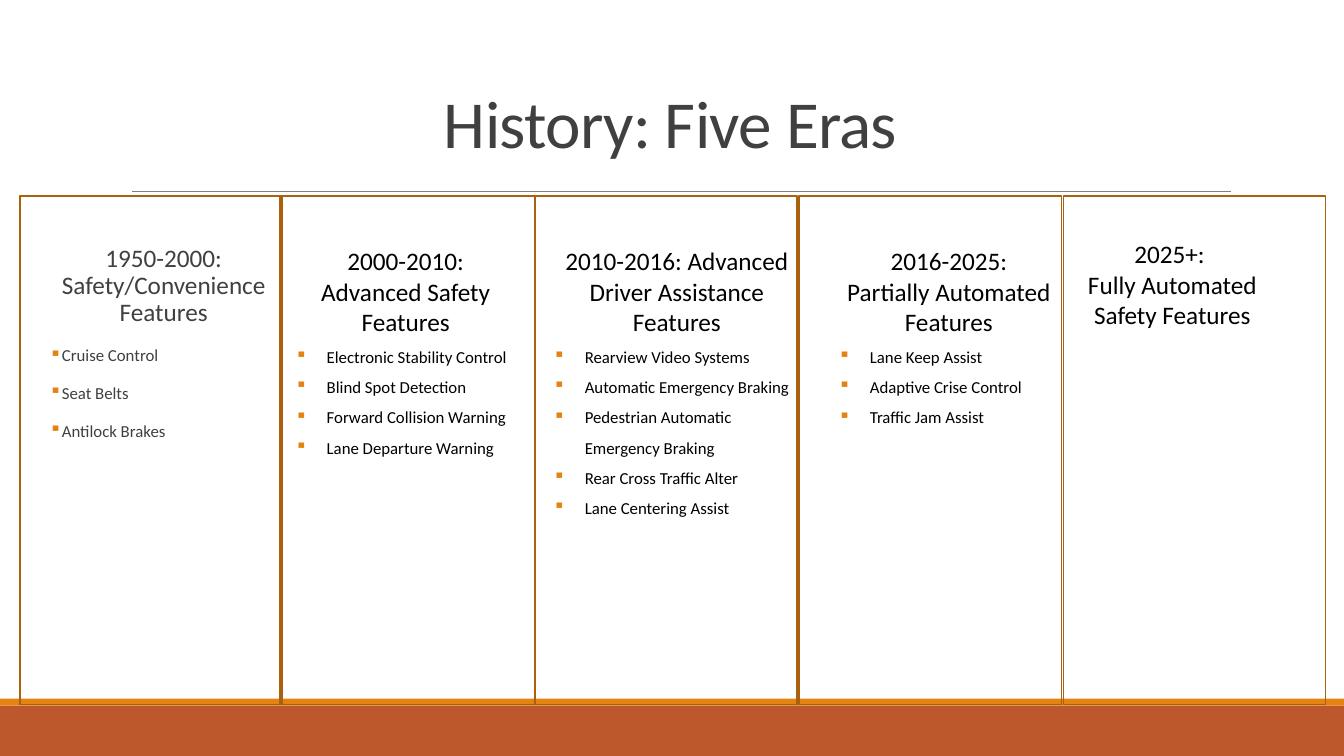
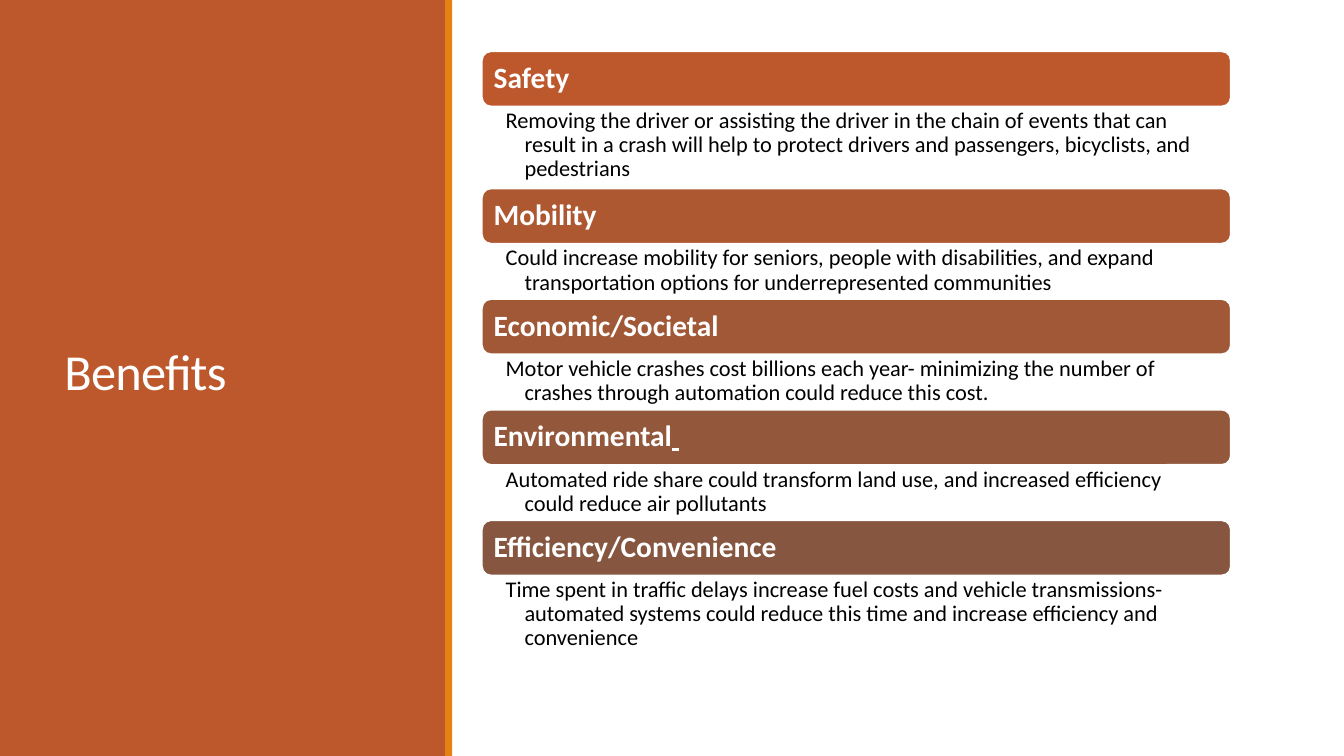
from lxml.etree import SubElement
from pptx import Presentation
from pptx.dml.color import RGBColor
from pptx.enum.shapes import MSO_CONNECTOR, MSO_SHAPE
from pptx.enum.text import MSO_ANCHOR, PP_ALIGN
from pptx.oxml.ns import qn
from pptx.util import Pt

WIDTH, HEIGHT = 960, 540
COLORS = {
    "rust": "BD582C",
    "orange": "E48312",
    "brown": "A9610D",
    "rule": "808080",
    "gray": "404040",
    "black": "000000",
    "white": "FFFFFF",
}
DEFAULT_INSETS = (7.2, 3.6, 7.2, 3.6)

# Paragraph styles of the era columns
FIRST_ERA = {"color": "gray", "spacing": 0.9, "before": 12, "after": 2, "indent": 7.2}
LATER_ERA = {"color": "black", "spacing": 1.5, "indent": 22.5}
LATER_HEADING = {"color": "black"}

# Frame left and width, text left, top and width, heading paragraphs, features
ERAS = [
    ((14.4, 187.2), (35.3, 172, 156.2),
     ["1950-2000: Safety/Convenience Features"],
     ["Cruise Control", "Seat Belts", "Antilock Brakes"]),
    ((200.2, 182.2), (203.8, 172, 172),
     ["2000-2010: Advanced Safety Features"],
     ["Electronic Stability Control", "Blind Spot Detection",
      "Forward Collision Warning", "Lane Departure Warning"]),
    ((382.3, 187.2), (388.1, 172, 190.8),
     ["2010-2016: Advanced Driver Assistance Features"],
     ["Rearview Video Systems", "Automatic Emergency Braking",
      "Pedestrian Automatic Emergency Braking",
      "Rear Cross Traffic Alter", "Lane Centering Assist"]),
    ((571, 187.2), (591.8, 172, 172),
     ["2016-2025:", "Partially Automated Features"],
     ["Lane Keep Assist", "Adaptive Crise Control", "Traffic Jam Assist"]),
    ((759.6, 187.2), (765.4, 167, 144),
     ["2025+: ", "Fully Automated Safety Features"], []),
]

# Heading, bar colour, height of the explanation, explanation
BENEFITS = [
    ("Safety", "BD582C", 58.5,
     "Removing the driver or assisting the driver in the chain of events that can "
     "result in a crash will help to protect drivers and passengers, bicyclists, "
     "and pedestrians"),
    ("Mobility", "AE5832", 39.5,
     "Could increase mobility for seniors, people with disabilities, and expand "
     "transportation options for underrepresented communities"),
    ("Economic/Societal", "A05837", 39.5,
     "Motor vehicle crashes cost billions each year- minimizing the number of "
     "crashes through automation could reduce this cost."),
    ("Environmental", "93573C", 39.5,
     "Automated ride share could transform land use, and increased efficiency "
     "could reduce air pollutants"),
    ("Efficiency/Convenience", "865640", 58.5,
     "Time spent in traffic delays increase fuel costs and vehicle transmissions- "
     "automated systems could reduce this time and increase efficiency and "
     "convenience"),
]


def rgb(color):
    """Look up a named colour; a plain hex string is taken as it is."""
    return RGBColor.from_string(COLORS.get(color, color))


class Deck:
    """Holds the style and the current slide."""

    font = "Calibri"

    def __init__(self):
        self.prs = Presentation()
        self.prs.slide_width, self.prs.slide_height = Pt(WIDTH), Pt(HEIGHT)
        self.slide = None

    def new_slide(self):
        self.slide = self.prs.slides.add_slide(self.prs.slide_layouts[6])

    def shape(self, x, y, w, h, fill=None, line=None, kind=MSO_SHAPE.RECTANGLE):
        sp = self.slide.shapes.add_shape(kind, Pt(x), Pt(y), Pt(w), Pt(h))
        sp.shadow.inherit = False
        if fill:
            sp.fill.solid()
            sp.fill.fore_color.rgb = rgb(fill)
        else:
            sp.fill.background()
        if line:
            sp.line.color.rgb = rgb(line)
            sp.line.width = Pt(1.25)
        else:
            sp.line.fill.background()
        return sp

    def rule(self, x1, x2, y):
        line = self.slide.shapes.add_connector(
            MSO_CONNECTOR.STRAIGHT, Pt(x1), Pt(y), Pt(x2), Pt(y))
        line.line.color.rgb = rgb("rule")
        line.line.width = Pt(0.5)
        SubElement(line._element.spPr, qn("a:effectLst"))

    def frame(self, sp, anchor=MSO_ANCHOR.TOP, insets=DEFAULT_INSETS):
        """Prepare the text frame of a shape."""
        tf = sp.text_frame
        tf.word_wrap = True
        tf.vertical_anchor = anchor
        tf.margin_left, tf.margin_top, tf.margin_right, tf.margin_bottom = map(Pt, insets)
        return tf

    def text_box(self, x, y, w, h, **options):
        sp = self.slide.shapes.add_textbox(Pt(x), Pt(y), Pt(w), Pt(h))
        return self.frame(sp, **options)

    def paragraph(self, tf, text, size, color, align=PP_ALIGN.LEFT, spacing=1.0,
                  before=0, after=0, indent=0, hanging=True, bullet=False, bold=False):
        p = tf.paragraphs[0] if not tf.text else tf.add_paragraph()
        p.text = text
        p.alignment = align
        p.line_spacing = spacing
        p.space_before, p.space_after = Pt(before), Pt(after)
        pPr = p._p.get_or_add_pPr()
        pPr.set("marL", str(Pt(indent)))
        pPr.set("indent", str(Pt(-indent if hanging else 0)))
        if bullet:
            bu_clr = SubElement(pPr, qn("a:buClr"))
            SubElement(bu_clr, qn("a:srgbClr")).set("val", COLORS["orange"])
            SubElement(pPr, qn("a:buChar")).set("char", "▪")
        self.format_run(p.runs[0], size, color, bold)
        return p

    def format_run(self, r, size, color, bold=False):
        r.font.name = self.font
        r.font.size = Pt(size)
        r.font.bold = bold
        r.font.color.rgb = rgb(color)

    def title(self, x, y, w, h, text, size, color, align, anchor):
        tf = self.text_box(x, y, w, h, anchor=anchor)
        p = self.paragraph(tf, text, size, color, align=align, spacing=0.85)
        p.runs[0]._r.get_or_add_rPr().set("spc", "-50")

    def era(self, text_area, headings, features, heading_style, feature_style):
        x, y, w = text_area
        tf = self.text_box(x, y, w, 200, insets=(
            (0, 3.6, 0, 3.6) if feature_style is FIRST_ERA else DEFAULT_INSETS))
        for heading in headings:
            self.paragraph(tf, heading, 18, align=PP_ALIGN.CENTER, hanging=False,
                           **heading_style)
        for feature in features:
            self.paragraph(tf, feature, 12, bullet=True, **feature_style)

    def benefit(self, y, heading, color, height, text):
        """Draw a bar with its explanation and return the next top."""
        x, w, bar = 344.2, 535, 39.5
        sp = self.shape(x, y, w, bar, color, "white", MSO_SHAPE.ROUNDED_RECTANGLE)
        tf = self.frame(sp, MSO_ANCHOR.MIDDLE, (6.5, 4.5, 6.5, 4.5))
        p = self.paragraph(tf, heading, 21, "white", spacing=0.9, bold=True)
        if heading == "Environmental":
            r = p.add_run()
            r.text = " "
            self.format_run(r, 21, "white", True)
            r.font.underline = True
        tf = self.text_box(x, y + bar, w, height, insets=(17, 2, 11.4, 2))
        self.paragraph(tf, text, 16, "black", spacing=0.9, indent=13.5)
        return y + bar + height


def history_slide(deck):
    deck.new_slide()
    deck.shape(0, 504, WIDTH, 36, "rust")
    deck.shape(0, 499, WIDTH, 5, "orange")
    deck.rule(94.3, 879, 136.8)
    deck.title(83, 42.5, 792, 77, "History: Five Eras", 48, "gray",
               PP_ALIGN.CENTER, MSO_ANCHOR.BOTTOM)
    for i, (_, text_area, headings, features) in enumerate(ERAS):
        styles = (LATER_HEADING, LATER_ERA) if i else (FIRST_ERA, FIRST_ERA)
        deck.era(text_area, headings, features, *styles)
    for (x, w), *_ in ERAS:
        deck.shape(x, 140.2, w, 363, line="brown")


def benefits_slide(deck):
    deck.new_slide()
    deck.shape(0, 0, 319, HEIGHT, "rust")
    deck.title(39, 41, 242.6, 454.3, "Benefits", 36, "white",
               PP_ALIGN.LEFT, MSO_ANCHOR.MIDDLE)
    deck.shape(318, 0, 5, HEIGHT, "orange")
    y = 36.6
    for benefit in BENEFITS:
        y = deck.benefit(y, *benefit)


def main():
    deck = Deck()
    history_slide(deck)
    benefits_slide(deck)
    deck.prs.save("out.pptx")


if __name__ == "__main__":
    main()
